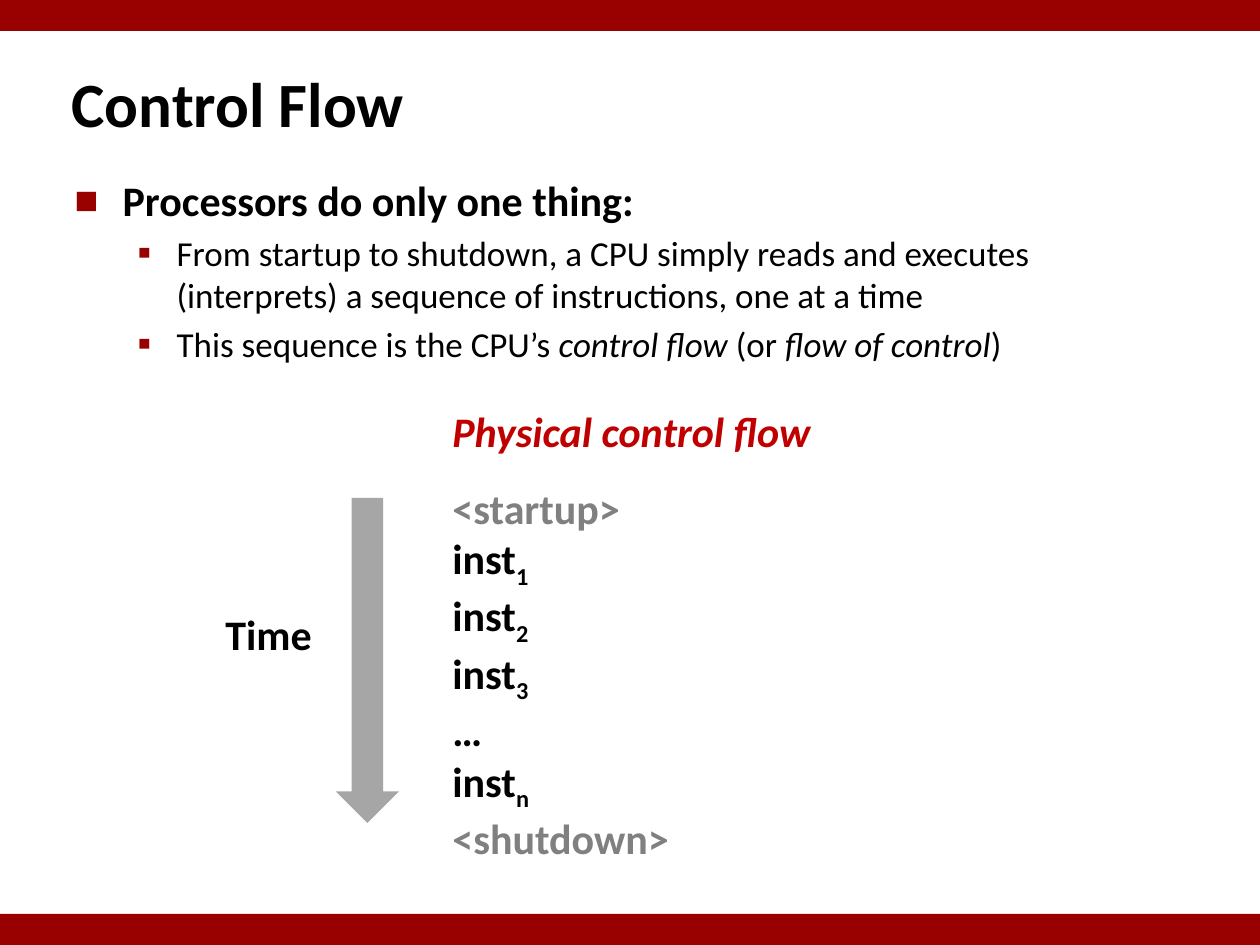
from dataclasses import dataclass

from lxml import etree
from pptx import Presentation
from pptx.dml.color import RGBColor
from pptx.enum.shapes import MSO_SHAPE
from pptx.enum.text import MSO_ANCHOR, MSO_AUTO_SIZE, PP_ALIGN
from pptx.oxml.ns import qn
from pptx.util import Emu, Pt

RECTANGLE, DOWN_ARROW = MSO_SHAPE.RECTANGLE, MSO_SHAPE.DOWN_ARROW
MIDDLE, TOP = MSO_ANCHOR.MIDDLE, MSO_ANCHOR.TOP
LEFT = PP_ALIGN.LEFT
NO_FIT, GROW = MSO_AUTO_SIZE.NONE, MSO_AUTO_SIZE.SHAPE_TO_FIT_TEXT

PX = 914400 / 126
WIDTH, HEIGHT = 1260, 945
BAR = 31


@dataclass(frozen=True)
class Theme:
    font: str = "Calibri"
    text: str = "000000"
    muted: str = "808080"
    bar: str = "990000"
    accent: str = "C00000"
    arrow: str = "A6A6A6"
    title_size: int = 36
    heading_size: int = 24
    detail_size: int = 20


theme = Theme()


def box(*lengths):
    return [Emu(round(length * PX)) for length in lengths]


def style(paragraph, size, color=theme.text, bold=True, italic=None):
    font = paragraph.font
    font.name, font.size, font.bold, font.italic = theme.font, Pt(size), bold, italic
    font.color.rgb = RGBColor.from_string(color)
    paragraph.alignment = LEFT


presentation = Presentation()
presentation.slide_width, presentation.slide_height = box(WIDTH, HEIGHT)
slide = presentation.slides.add_slide(presentation.slide_layouts[1])

# Title
title = slide.shapes.title
title.left, title.top, title.width, title.height = box(59, 63, 591, 79)
title.text_frame.text = "Control Flow"
title.text_frame.vertical_anchor = MIDDLE
title.text_frame.auto_size = NO_FIT
style(title.text_frame.paragraphs[0], theme.title_size)

# Bulleted list: level, space before, runs as (text, italic)
points = [
    (0, 0, [("Processors do only one thing:", None)]),
    (1, 4, [("From startup to shutdown, a CPU simply reads and executes "
             "(interprets) a sequence of instructions, one at a time", None)]),
    (1, 4, [("This sequence is the CPU’s ", None), ("control flow", True),
            (" (or ", None), ("flow of control", True), (")", None)]),
]
# Per level: left margin, hanging indent, bullet, bullet percent, size, bold
levels = [
    (48, 48, "■", 60, theme.heading_size, True),
    (102, 39, "▪", 110, theme.detail_size, False),
]
body = slide.placeholders[1]
body.left, body.top, body.width, body.height = box(62, 168, 1143, 239)
body.text_frame.auto_size = NO_FIT
body.text_frame.vertical_anchor = TOP
for index, (level, space, runs) in enumerate(points):
    margin, hanging, bullet, percent, size, bold = levels[level]
    paragraph = body.text_frame.paragraphs[0] if index == 0 else body.text_frame.add_paragraph()
    paragraph.level = level
    properties = paragraph._p.get_or_add_pPr()
    properties.set("marL", str(round(margin * PX)))
    properties.set("indent", str(round(-hanging * PX)))
    bullet_color = etree.SubElement(properties, qn("a:buClr"))
    etree.SubElement(bullet_color, qn("a:srgbClr")).set("val", theme.bar)
    etree.SubElement(properties, qn("a:buSzPct")).set("val", str(percent * 1000))
    etree.SubElement(properties, qn("a:buFont")).set("typeface", theme.font)
    etree.SubElement(properties, qn("a:buChar")).set("char", bullet)
    paragraph.space_before = Pt(space)
    style(paragraph, size, bold=bold)
    for text, italic in runs:
        run = paragraph.add_run()
        run.text, run.font.italic = text, italic

# Labels and instruction sequence: place, lines as (text, subscript, color), italic
labels = [
    ((440, 476, 244, 369), [
        ("<startup>", "", theme.muted),
        *[("inst", number, theme.text) for number in "123"],
        ("…", "", theme.text),
        ("inst", "n", theme.text),
        ("<shutdown>", "", theme.muted),
    ], None),
    ((440, 399, 388, 63), [("Physical control flow", "", theme.accent)], True),
    ((213, 602, 112, 63), [("Time", "", theme.text)], None),
]
for place, lines, italic in labels:
    frame = slide.shapes.add_textbox(*box(*place)).text_frame
    frame.word_wrap = False
    frame.auto_size = GROW
    for index, (text, subscript, color) in enumerate(lines):
        paragraph = frame.paragraphs[0] if index == 0 else frame.add_paragraph()
        style(paragraph, theme.heading_size, color, italic=italic)
        paragraph.add_run().text = text
        if subscript:
            run = paragraph.add_run()
            run.text = subscript
            run._r.get_or_add_rPr().set("baseline", "-25000")

# Time arrow and the bars at top and bottom
for kind, place, color in [
    (DOWN_ARROW, (336, 498, 63, 325), theme.arrow),
    (RECTANGLE, (0, 0, WIDTH, BAR), theme.bar),
    (RECTANGLE, (0, HEIGHT - BAR, WIDTH, BAR), theme.bar),
]:
    shape = slide.shapes.add_shape(kind, *box(*place))
    shape.shadow.inherit = False
    shape.fill.solid()
    shape.fill.fore_color.rgb = RGBColor.from_string(color)
    shape.line.fill.background()

presentation.save("out.pptx")
